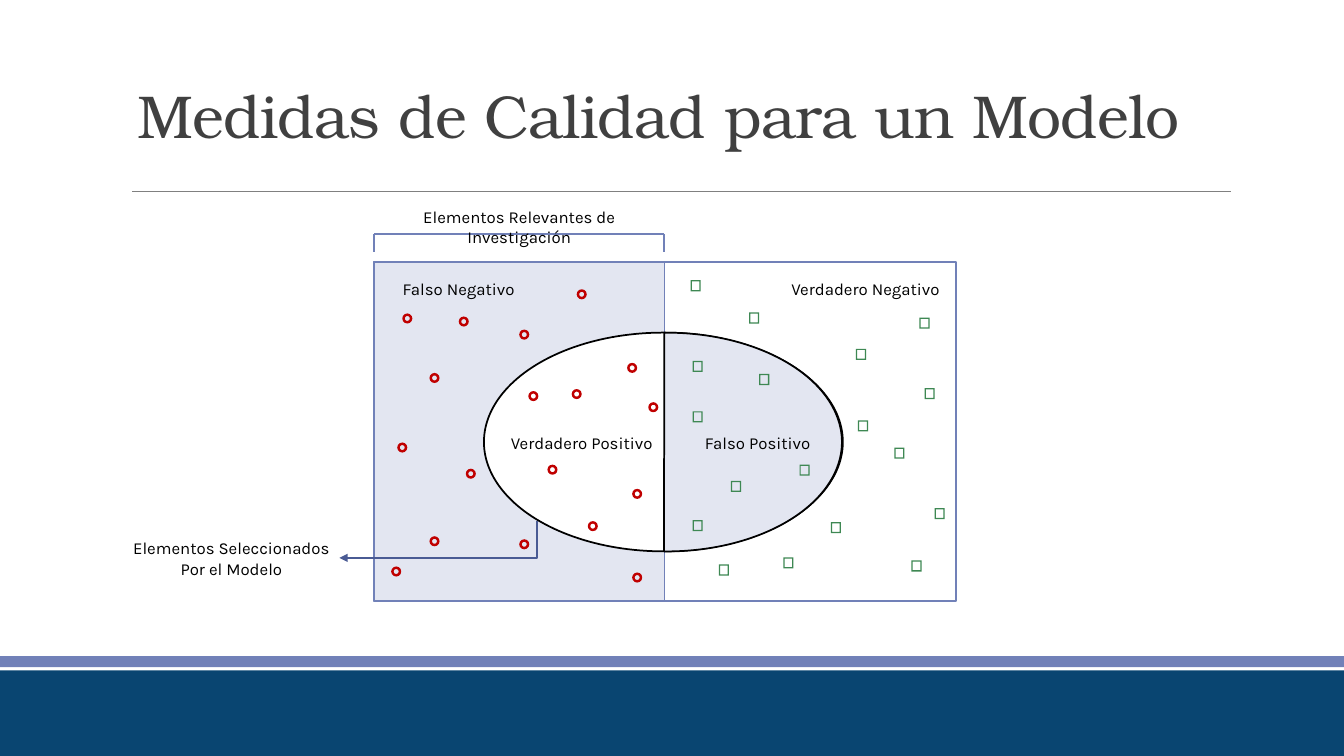
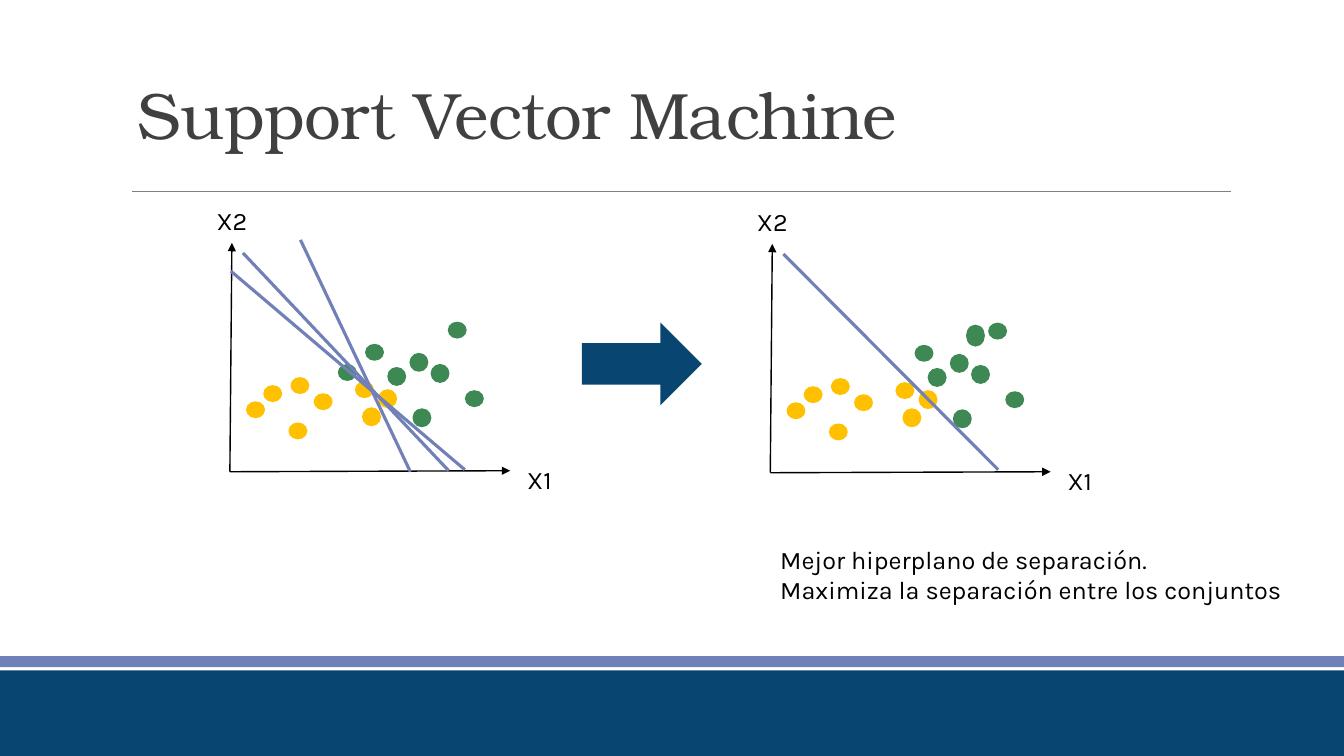
from dataclasses import dataclass
from typing import NamedTuple

from lxml import etree
from pptx import Presentation
from pptx.dml.color import RGBColor
from pptx.enum.shapes import MSO_CONNECTOR, MSO_SHAPE
from pptx.enum.text import MSO_ANCHOR, MSO_AUTO_SIZE, PP_ALIGN
from pptx.oxml.ns import qn
from pptx.util import Inches, Pt

STRAIGHT, ELBOW = MSO_CONNECTOR.STRAIGHT, MSO_CONNECTOR.ELBOW
RECT, ELLIPSE, CHORD = MSO_SHAPE.RECTANGLE, MSO_SHAPE.OVAL, MSO_SHAPE.CHORD
DONUT, FRAME, ARROW = MSO_SHAPE.DONUT, MSO_SHAPE.FRAME, MSO_SHAPE.RIGHT_ARROW
LEFT, CENTER = PP_ALIGN.LEFT, PP_ALIGN.CENTER
TOP, BOTTOM = MSO_ANCHOR.TOP, MSO_ANCHOR.BOTTOM
FIT_SHAPE, NO_FIT = MSO_AUTO_SIZE.SHAPE_TO_FIT_TEXT, MSO_AUTO_SIZE.NONE

NAVY, PERIWINKLE, INDIGO, LAVENDER = "094571", "7181B8", "4A5B94", "E3E6F1"
BLACK, WHITE, CHARCOAL, GRAY = "000000", "FFFFFF", "404040", "808080"
RED, GREEN, YELLOW = "C00000", "3E8853", "FFC000"
TITLE_FONT, BODY_FONT = "TeX Gyre Bonum", "Karla"
SLIDE_W, SLIDE_H = 13.33, 7.5


class Box(NamedTuple):
    x: float
    y: float
    w: float
    h: float


class Point(NamedTuple):
    x: float
    y: float


class Segment(NamedTuple):
    x1: float
    y1: float
    x2: float
    y2: float


class Stroke(NamedTuple):
    color: str
    width: float


class Dot(NamedTuple):
    x: float
    y: float
    color: str
    h: float = 0.15


class Label(NamedTuple):
    box: Box
    text: str


@dataclass
class Plot:
    """A scatter plot placed by its shift from the first plot."""
    dx: float
    dy: float
    dots: list[Dot]
    separators: list[Segment]


RELEVANT = [Point(*xy) for xy in (
    (3.99, 3.11), (4.55, 3.14), (5.72, 2.87), (5.15, 3.27), (4.26, 3.7), (3.94, 4.39),
    (4.62, 4.65), (4.26, 5.32), (5.15, 5.35), (3.88, 5.62), (6.22, 3.6), (5.67, 3.86),
    (6.27, 4.85), (5.43, 4.61), (5.24, 3.88), (6.43, 3.99), (5.83, 5.17), (6.27, 5.68))]
IRRELEVANT = [Point(*xy) for xy in (
    (9.12, 3.15), (9.17, 3.85), (8.87, 4.44), (8.49, 3.46), (7.43, 3.1), (6.85, 2.78),
    (6.87, 5.16), (7.93, 4.61), (7.25, 4.77), (6.87, 4.08), (7.53, 3.71), (6.87, 3.58),
    (9.04, 5.56), (8.24, 5.18), (7.77, 5.53), (7.13, 5.6), (8.51, 4.17), (9.27, 5.04))]
QUALITY_LABELS = [
    Label(Box(4.95, 4.24, 1.64, 0.3), "Verdadero Positivo"),
    Label(Box(6.73, 4.24, 1.57, 0.3), "Falso Positivo"),
    Label(Box(3.73, 2.72, 1.64, 0.3), "Falso Negativo"),
    Label(Box(7.7, 2.72, 1.77, 0.3), "Verdadero Negativo"),
    Label(Box(3.62, 2, 3.06, 0.3), "Elementos Relevantes de Investigación"),
]

SHARED_DOTS = [
    Dot(2.45, 3.99, YELLOW), Dot(2.62, 3.83, YELLOW), Dot(2.89, 3.75, YELLOW),
    Dot(3.12, 3.91, YELLOW), Dot(2.87, 4.2, YELLOW), Dot(3.53, 3.79, YELLOW),
    Dot(3.6, 4.05, YELLOW, 0.17), Dot(3.76, 3.87, YELLOW, 0.17),
    Dot(3.85, 3.65, GREEN, 0.17), Dot(4.07, 3.51, GREEN, 0.17),
    Dot(4.28, 3.62, GREEN, 0.17), Dot(4.1, 4.06, GREEN, 0.17),
    Dot(4.45, 3.2, GREEN), Dot(4.62, 3.88, GREEN),
]
PLOTS = [
    Plot(0, 0, SHARED_DOTS + [Dot(3.63, 3.42, GREEN), Dot(3.36, 3.62, GREEN)],
         [Segment(2.41, 2.51, 4.45, 4.67), Segment(2.29, 2.69, 4.61, 4.66),
          Segment(2.98, 2.38, 4.07, 4.68)]),
    Plot(5.36, 0.01, SHARED_DOTS + [Dot(3.72, 3.42, GREEN), Dot(4.23, 3.22, GREEN, 0.2)],
         [Segment(2.41, 2.51, 4.54, 4.65)]),
]
AXES = [Segment(2.28, 4.68, 5.06, 4.67), Segment(2.28, 4.68, 2.3, 2.41)]
AXIS_LABELS = [Label(Box(5.13, 4.56, 0.96, 0.4), "X1"), Label(Box(2.05, 1.99, 0.96, 0.4), "X2")]


def rgb(color: str) -> RGBColor:
    return RGBColor.from_string(color)


def add_shape(s, kind, box: Box, fill: str | None = None, stroke: Stroke | None = None):
    sp = s.shapes.add_shape(kind, *map(Inches, box))
    sp.shadow.inherit = False
    if fill:
        sp.fill.solid()
        sp.fill.fore_color.rgb = rgb(fill)
    else:
        sp.fill.background()
    if stroke:
        sp.line.color.rgb = rgb(stroke.color)
        sp.line.width = Pt(stroke.width)
    else:
        sp.line.fill.background()
    return sp


def add_line(s, seg: Segment, stroke: Stroke, arrow: bool = False, kind=STRAIGHT):
    cxn = s.shapes.add_connector(kind, *map(Inches, seg))
    cxn.line.color.rgb = rgb(stroke.color)
    cxn.line.width = Pt(stroke.width)
    if arrow:
        etree.SubElement(cxn.line._get_or_add_ln(), qn("a:tailEnd"), type="triangle")
    etree.SubElement(cxn._element.spPr, qn("a:effectLst"))
    return cxn


def add_corner_arrow(s, box: Box, stroke: Stroke) -> None:
    """Draw a one-bend arrow; box is its frame before a quarter turn."""
    seg = Segment(box.x, box.y, box.x + box.w, box.y + box.h)
    sp_pr = add_line(s, seg, stroke, True, ELBOW)._element.spPr
    sp_pr.find(qn("a:xfrm")).set("rot", str(90 * 60000))
    sp_pr.find(qn("a:prstGeom")).set("prst", "bentConnector2")


def add_text(s, box: Box, *paragraphs: str, size: float, align=LEFT, font: str = BODY_FONT,
             color: str = BLACK, anchor=TOP, fit=FIT_SHAPE):
    tf = s.shapes.add_textbox(*map(Inches, box)).text_frame
    frame_format = {"word_wrap": True, "auto_size": fit, "vertical_anchor": anchor}
    for name, value in frame_format.items():
        setattr(tf, name, value)
    for i, text in enumerate(paragraphs):
        p = tf.add_paragraph() if i else tf.paragraphs[0]
        p.text = text
        p.alignment = align
        for r in p.runs:
            for name, value in {"name": font, "size": Pt(size)}.items():
                setattr(r.font, name, value)
            r.font.color.rgb = rgb(color)
    return tf


def add_base_slide(prs, title: str, size: float, spacing: float):
    """Add a slide with the shared rule, bottom bands and title."""
    s = prs.slides.add_slide(prs.slide_layouts[6])
    add_line(s, Segment(1.31, 1.9, 12.21, 1.9), Stroke(GRAY, 0.5))
    add_shape(s, RECT, Box(0, 6.51, SLIDE_W, 0.11), PERIWINKLE)
    add_shape(s, RECT, Box(0, 6.65, SLIDE_W, 0.85), NAVY)
    tf = add_text(s, Box(1.27, 0.79, 11, 0.76), title, size=size, font=TITLE_FONT,
                  color=CHARCOAL, anchor=BOTTOM, fit=NO_FIT)
    p = tf.paragraphs[0]
    p.line_spacing = spacing
    p.runs[0].font._element.set("spc", "-50")
    return s


def build_quality_slide(prs) -> None:
    s = add_base_slide(prs, "Medidas de Calidad para un Modelo", 43.2, 0.85)
    outline = Stroke(BLACK, 1.25)
    border = Stroke(PERIWINKLE, 1.5)
    left, middle = 3.71, 6.59
    add_shape(s, RECT, Box(left, 2.6, 5.77, 3.36), stroke=border)
    add_shape(s, RECT, Box(left, 2.6, middle - left, 3.36), LAVENDER, Stroke(PERIWINKLE, 1.25))
    add_shape(s, ELLIPSE, Box(4.8, 3.3, 3.56, 2.17), WHITE, outline)
    chord = add_shape(s, CHORD, Box(4.88, 3.3, 3.47, 2.17), LAVENDER, outline)
    chord.rotation = 180
    chord.adjustments[0], chord.adjustments[1] = 53.14, 162.93

    for pt in RELEVANT:
        add_shape(s, DONUT, Box(pt.x, pt.y, 0.1, 0.1), RED)
    for pt in IRRELEVANT:
        add_shape(s, FRAME, Box(pt.x, pt.y, 0.1, 0.11), GREEN)

    for x in (left, middle):
        add_line(s, Segment(x, 2.32, x, 2.5), border)
    add_line(s, Segment(left, 2.32, middle, 2.32), border)
    for label in QUALITY_LABELS:
        add_text(s, label.box, label.text, size=12, align=CENTER)
    add_corner_arrow(s, Box(4.16, 4.37, 0.37, 1.96), Stroke(INDIGO, 1.5))
    add_text(s, Box(0.85, 5.29, 2.89, 0.5), "Elementos Seleccionados", "Por el Modelo",
             size=12, align=CENTER)


def draw_plot(s, plot: Plot) -> None:
    def shift(seg: Segment) -> Segment:
        return Segment(seg.x1 + plot.dx, seg.y1 + plot.dy, seg.x2 + plot.dx, seg.y2 + plot.dy)

    for axis in AXES:
        add_line(s, shift(axis), Stroke(BLACK, 1), arrow=True)
    for dot in plot.dots:
        box = Box(dot.x + plot.dx, dot.y + plot.dy, 0.17, dot.h)
        add_shape(s, ELLIPSE, box, dot.color, Stroke(dot.color, 1.25))
    for separator in plot.separators:
        add_line(s, shift(separator), Stroke(PERIWINKLE, 2.25))
    for box, text in AXIS_LABELS:
        add_text(s, Box(box.x + plot.dx, box.y + plot.dy, box.w, box.h), text, size=18)


def build_svm_slide(prs) -> None:
    s = add_base_slide(prs, "Support Vector Machine", 46.8, 0.75)
    for plot in PLOTS:
        draw_plot(s, plot)
    add_shape(s, ARROW, Box(5.77, 3.2, 1.19, 0.82), NAVY)
    add_text(s, Box(7.64, 5.35, 5.5, 0.71),
             "Mejor hiperplano de separación.\vMaximiza la separación entre los conjuntos", size=18)


def main() -> None:
    prs = Presentation()
    prs.slide_width, prs.slide_height = Inches(SLIDE_W), Inches(SLIDE_H)
    build_quality_slide(prs)
    build_svm_slide(prs)
    prs.save("out.pptx")


if __name__ == "__main__":
    main()
